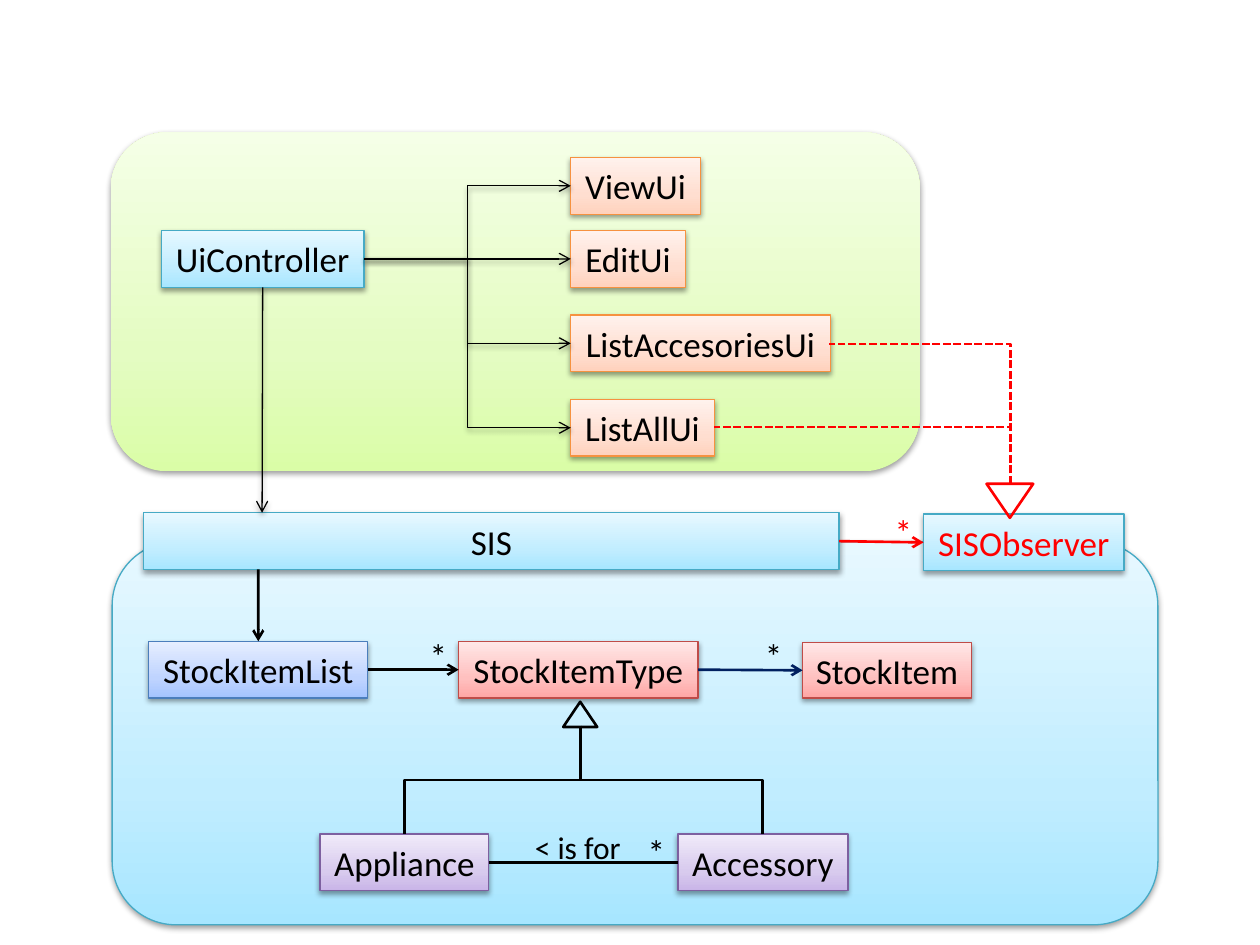
"""Build a class diagram slide of a stock information system."""
from lxml import etree
from pptx import Presentation
from pptx.dml.color import RGBColor
from pptx.enum.dml import MSO_LINE
from pptx.enum.shapes import MSO_CONNECTOR as Connector, MSO_SHAPE as Shape
from pptx.enum.text import MSO_ANCHOR, MSO_AUTO_SIZE, PP_ALIGN
from pptx.oxml.ns import qn
from pptx.util import Inches, Pt

TOP, LEFT, BOTTOM, RIGHT = range(4)
BLACK, RED, NAVY = "000000", "FF0000", "002060"
PALETTES = {
    "green": (("DAFDA7", "E4FCC2", "F5FFE7"), None),
    "cyan": (("A7E6FF", "C1EDFF", "E7F8FF"), "46AAC5"),
    "orange": (("FFD2BD", "FFDED0", "FFF2ED"), "F69240"),
    "red": (("FFA6A5", "FFC0BF", "FFE7E7"), "BF4C48"),
    "purple": (("C9B5E8", "D8CBEE", "F0EAF9"), "7D60A0"),
    "blue": (("A4C4FF", "BFD4FF", "E6EEFF"), "4B7EBC"),
}
GRADIENT_POSITIONS = (0, 35, 100)
PANELS = [
    ("green", (0.88, 1.05, 6.42, 2.69)),
    ("cyan", (0.89, 4.3, 8.3, 3.04)),
]
CLASSES = [
    ("SISObserver", "cyan", (7.33, 4.08, 1.59, 0.45), RED),
    ("ViewUi", "orange", (4.53, 1.25, 1.03, 0.45), BLACK),
    ("EditUi", "orange", (4.53, 1.83, 0.91, 0.45), BLACK),
    ("ListAccesoriesUi", "orange", (4.53, 2.5, 2.06, 0.45), BLACK),
    ("ListAllUi", "orange", (4.53, 3.17, 1.14, 0.45), BLACK),
    ("UiController", "cyan", (1.28, 1.83, 1.61, 0.45), BLACK),
    ("SIS", "cyan", (1.14, 4.07, 5.52, 0.45), BLACK),
    ("StockItemType", "red", (3.64, 5.09, 1.9, 0.45), BLACK),
    ("Appliance", "purple", (2.54, 6.62, 1.34, 0.45), BLACK),
    ("Accessory", "purple", (5.38, 6.62, 1.35, 0.45), BLACK),
    ("StockItemList", "blue", (1.18, 5.09, 1.74, 0.45), BLACK),
    ("StockItem", "red", (6.37, 5.1, 1.34, 0.44), BLACK),
]
CONTROLLED_UIS = ["ViewUi", "EditUi", "ListAccesoriesUi", "ListAllUi"]
ASSOCIATIONS = [
    ("SIS", "SISObserver", RED, True),
    ("StockItemList", "StockItemType", BLACK, True),
    ("StockItemType", "StockItem", NAVY, True),
    ("Appliance", "Accessory", BLACK, False),
]
TRIANGLES = [
    ((7.83, 3.84, 0.37, 0.27), 180, RED),
    ((4.47, 5.57, 0.27, 0.2), 0, BLACK),
]
OBSERVER_TIP, TYPE_TIP = (8.02, 3.84), (4.61, 5.76)
OBSERVERS = [(6.58, 2.73), (5.67, 3.39)]
SUBTYPES = [(3.21, 6.62), (6.05, 6.62)]
LABELS = [
    ("*", (7, 4, 0.34, 0.43), 20, RED),
    ("*", (5.04, 6.54, 0.34, 0.43), 20, BLACK),
    ("*", (5.97, 4.99, 0.34, 0.43), 20, BLACK),
    ("*", (3.31, 4.99, 0.34, 0.43), 20, BLACK),
    ("< is for", (4.14, 6.52, 0.89, 0.4), 18, BLACK),
]


def rgb(colour):
    return RGBColor.from_string(colour)


def add_node(parent, tag, **attributes):
    node = etree.SubElement(parent, qn(tag))
    for name, value in attributes.items():
        node.set(name, str(value))
    return node


def add_shadow(effects):
    outer = add_node(effects, "a:outerShdw", blurRad=Pt(3.1), dist=Pt(1.6),
                     dir=5400000, rotWithShape=0)
    add_node(add_node(outer, "a:srgbClr", val=BLACK), "a:alpha", val=38000)


def write(shape, text, size=20, colour=BLACK, wrap=False):
    frame = shape.text_frame
    frame.word_wrap = wrap
    frame.auto_size = MSO_AUTO_SIZE.SHAPE_TO_FIT_TEXT
    frame.vertical_anchor = MSO_ANCHOR.MIDDLE
    paragraph = frame.paragraphs[0]
    paragraph.text = text
    paragraph.alignment = PP_ALIGN.CENTER
    font = paragraph.font
    font.name, font.size, font.color.rgb = "Calibri", Pt(size), rgb(colour)


def add_block(slide, kind, place, palette):
    stops, outline = PALETTES[palette]
    shape = slide.shapes.add_shape(kind, *map(Inches, place))
    shape.fill.gradient()
    shape.fill.gradient_angle = 90
    stop_list = shape._element.spPr.find(qn("a:gradFill")).find(qn("a:gsLst"))
    for stop in list(stop_list):
        stop_list.remove(stop)
    for position, colour in zip(GRADIENT_POSITIONS, stops):
        stop = add_node(stop_list, "a:gs", pos=position * 1000)
        add_node(stop, "a:srgbClr", val=colour)
    if outline:
        shape.line.color.rgb = rgb(outline)
        shape.line.width = Pt(0.75)
    else:
        shape.line.fill.background()
    shape.shadow.inherit = False
    add_shadow(shape._element.spPr.find(qn("a:effectLst")))
    return shape


def add_link(slide, start, end, kind=Connector.STRAIGHT, colour=BLACK,
             width=1.5, arrow=False, shadow=False, dashed=False):
    connector = slide.shapes.add_connector(kind, *map(Inches, (*start, *end)))
    connector.line.color.rgb = rgb(colour)
    connector.line.width = Pt(width)
    if dashed:
        connector.line.dash_style = MSO_LINE.SQUARE_DOT
    properties = connector._element.spPr
    if arrow:
        add_node(properties.find(qn("a:ln")), "a:tailEnd", type="arrow")
    effects = add_node(properties, "a:effectLst")
    if shadow:
        add_shadow(effects)
    return connector


def add_vertical_elbow(slide, start, end, preset, **style):
    (x1, y1), (x2, y2) = start, end
    middle_x, middle_y = (x1 + x2) / 2, (y1 + y2) / 2
    half_width, half_height = abs(y2 - y1) / 2, abs(x2 - x1) / 2
    if (x2 > x1) == (y2 > y1):
        half_height = -half_height
    connector = add_link(slide, (middle_x - half_width, middle_y - half_height),
                         (middle_x + half_width, middle_y + half_height),
                         Connector.ELBOW, **style)
    properties = connector._element.spPr
    turn = 90 if y2 > y1 else 270
    properties.find(qn("a:xfrm")).set("rot", str(turn * 60000))
    properties.find(qn("a:prstGeom")).set("prst", preset)


def join(connector, start, start_side, end, end_side):
    connector.begin_connect(start, start_side)
    connector.end_connect(end, end_side)


def main():
    presentation = Presentation()
    presentation.slide_width, presentation.slide_height = Inches(10), Inches(7.5)
    slide = presentation.slides.add_slide(presentation.slide_layouts[6])
    origin = (0, 0)

    for palette, place in PANELS:
        add_block(slide, Shape.ROUNDED_RECTANGLE, place, palette)
    boxes = {}
    for name, palette, place, colour in CLASSES:
        boxes[name] = add_block(slide, Shape.RECTANGLE, place, palette)
        write(boxes[name], name, colour=colour)

    controller = boxes["UiController"]
    for name in CONTROLLED_UIS:
        kind = Connector.STRAIGHT if name == "EditUi" else Connector.ELBOW
        link = add_link(slide, origin, origin, kind, width=0.75, arrow=True, shadow=True)
        join(link, controller, RIGHT, boxes[name], LEFT)
    link = add_link(slide, (2.08, 2.28), (2.08, 4.07), width=0.75, arrow=True, shadow=True)
    link.begin_connect(controller, BOTTOM)
    link = add_link(slide, (2.05, 4.52), (2.05, 5.09), arrow=True)
    link.end_connect(boxes["StockItemList"], TOP)
    for start, end, colour, arrow in ASSOCIATIONS:
        link = add_link(slide, origin, origin, colour=colour, arrow=arrow)
        join(link, boxes[start], RIGHT, boxes[end], LEFT)

    for place, rotation, colour in TRIANGLES:
        triangle = slide.shapes.add_shape(Shape.ISOSCELES_TRIANGLE, *map(Inches, place))
        triangle.rotation = rotation
        triangle.fill.background()
        triangle.line.color.rgb = rgb(colour)
        triangle.line.width = Pt(1.5)
        triangle.shadow.inherit = False
    for end in OBSERVERS:
        add_vertical_elbow(slide, OBSERVER_TIP, end, "bentConnector2",
                           colour=RED, dashed=True)
    for end in SUBTYPES:
        add_vertical_elbow(slide, TYPE_TIP, end, "bentConnector3")

    for text, place, size, colour in LABELS:
        label = slide.shapes.add_textbox(*map(Inches, place))
        write(label, text, size=size, colour=colour, wrap=text == "*")
    presentation.save("out.pptx")


if __name__ == "__main__":
    main()
